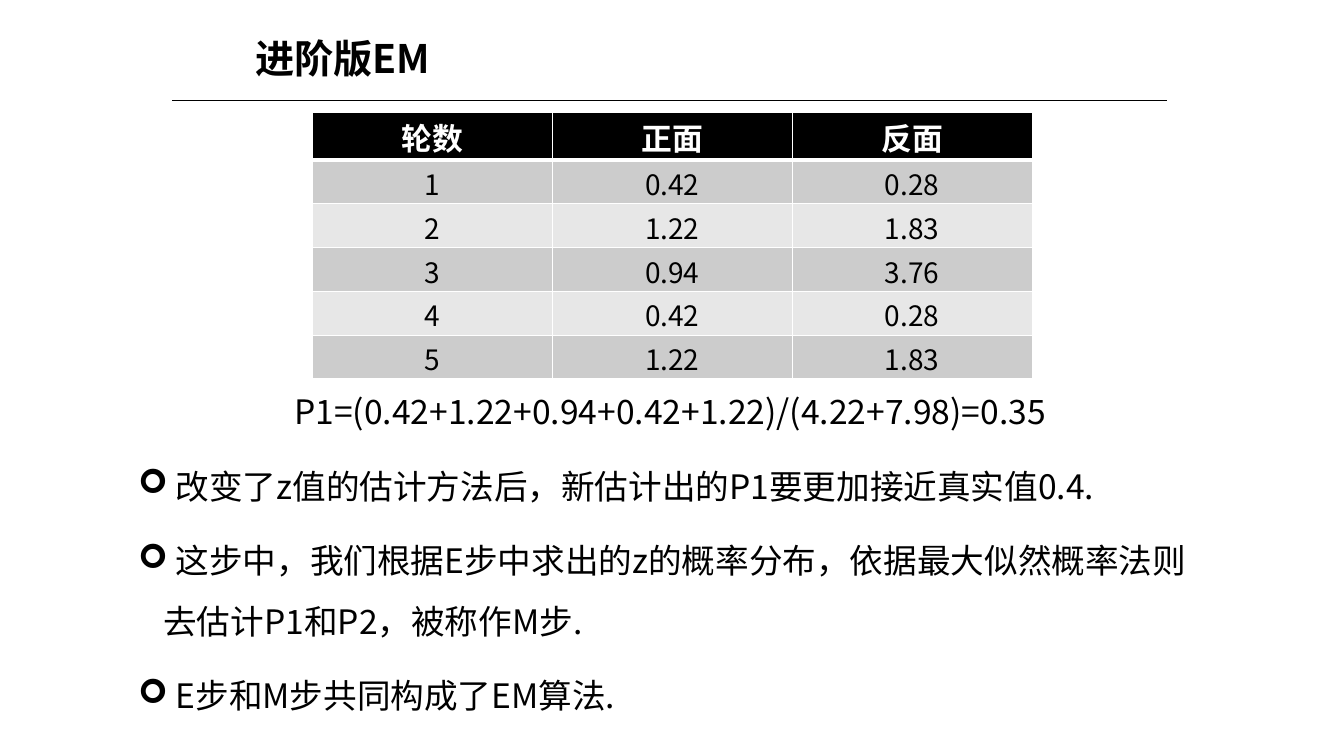
import pptx
import pptx.util
import pptx.dml.color
import pptx.enum.text
import pptx.enum.shapes
import pptx.oxml
import pptx.oxml.ns
import lxml.etree

ALIGN = pptx.enum.text.PP_ALIGN
ANCHOR = pptx.enum.text.MSO_ANCHOR
qn = pptx.oxml.ns.qn


def color(hex_code):
    return pptx.dml.color.RGBColor.from_string(hex_code)


class Deck:
    """Style and current slide; lengths are percentages of the slide's size."""

    FONT = "Noto Sans CJK SC"
    INK, PAPER = "000000", "FFFFFF"
    BANDS = ("CCCCCC", "E7E7E7")

    def __init__(self, prs):
        self.prs = prs
        self.slide = prs.slides.add_slide(prs.slide_layouts[1])

    def x(self, share):
        return round(self.prs.slide_width * share / 100)

    def y(self, share):
        return round(self.prs.slide_height * share / 100)

    def box(self, left, top, width, height):
        return self.x(left), self.y(top), self.x(width), self.y(height)

    def run(self, p, text, size, ink=INK, bold=False):
        r = p.add_run()
        r.text = text
        r.font.size = pptx.util.Pt(size)
        r.font.bold = bold
        r.font.color.rgb = color(ink)
        r.font.name = self.FONT
        ea = lxml.etree.SubElement(r.font._element, qn("a:ea"))
        ea.set("typeface", self.FONT)

    def place(self, sp, box, anchor):
        sp.left, sp.top, sp.width, sp.height = self.box(*box)
        tf = sp.text_frame
        tf.word_wrap = True
        tf.auto_size = pptx.enum.text.MSO_AUTO_SIZE.NONE
        tf.vertical_anchor = anchor
        return tf

    def title(self, text, box):
        tf = self.place(self.slide.shapes.title, box, ANCHOR.MIDDLE)
        p = tf.paragraphs[0]
        p.alignment = ALIGN.LEFT
        self.run(p, text, 28, bold=True)

    def rule(self, left, right, top):
        line = self.slide.shapes.add_connector(
            pptx.enum.shapes.MSO_CONNECTOR.STRAIGHT,
            self.x(left), self.y(top), self.x(right), self.y(top))
        line.line.color.rgb = color(self.INK)
        line.line.width = pptx.util.Pt(0.5)
        lxml.etree.SubElement(line._element.spPr, qn("a:effectLst"))

    def borders(self, cell, widths):
        tc_pr = cell._tc.get_or_add_tcPr()
        for i, (side, width) in enumerate(zip("LRTB", widths)):
            ln = pptx.oxml.parse_xml(
                f'<a:ln{side} {pptx.oxml.ns.nsdecls("a")} w="{pptx.util.Pt(width)}">'
                f'<a:solidFill><a:srgbClr val="{self.PAPER}"/></a:solidFill></a:ln{side}>')
            tc_pr.insert(i, ln)

    def cell(self, cell, text, row):
        head = row == 0
        cell.fill.solid()
        cell.fill.fore_color.rgb = color(self.INK if head else self.BANDS[(row - 1) % 2])
        cell.vertical_anchor = ANCHOR.MIDDLE
        cell.margin_top, cell.margin_bottom = pptx.util.Inches(0.03), 0
        p = cell.text_frame.paragraphs[0]
        p.alignment = ALIGN.CENTER
        self.run(p, text, 22 if head else 20, self.PAPER if head else self.INK, head)
        self.borders(cell, (1, 1, 3 if row == 1 else 1, 3 if head else 1))

    def table(self, rows, box, head_height):
        left, top, width, height = box
        table = self.slide.shapes.add_table(len(rows), len(rows[0]), *self.box(*box)).table
        for col in table.columns:
            col.width = self.x(width / len(rows[0]))
        row_height = (height - head_height) / (len(rows) - 1)
        for i, values in enumerate(rows):
            table.rows[i].height = self.y(row_height if i else head_height)
            for j, text in enumerate(values):
                self.cell(table.cell(i, j), text, i)

    def paragraph(self, p, text, spacing, bullet=None):
        p.alignment = ALIGN.LEFT if bullet else ALIGN.CENTER
        p.line_spacing = spacing
        p.space_before = pptx.util.Pt(10)
        p_pr = p._p.get_or_add_pPr()
        indent = pptx.util.Inches(0.25)
        p_pr.set("marL", str(indent))
        p_pr.set("indent", str(-indent))
        if bullet:
            lxml.etree.SubElement(p_pr, qn("a:buFont")).set("typeface", "Wingdings")
            lxml.etree.SubElement(p_pr, qn("a:buChar")).set("char", bullet)
        else:
            lxml.etree.SubElement(p_pr, qn("a:buNone"))
        self.run(p, text, 24)

    def body(self, formula, points, box):
        tf = self.place(self.slide.placeholders[1], box, ANCHOR.TOP)
        self.paragraph(tf.paragraphs[0], formula, 0.9)
        for point in points:
            self.paragraph(tf.add_paragraph(), " " + point, 1.5, "➢")


def main():
    prs = pptx.Presentation()
    prs.slide_width = pptx.util.Inches(13.33)
    prs.slide_height = pptx.util.Inches(7.5)
    deck = Deck(prs)

    # Heading and rule
    deck.title("进阶版EM", (18.23, 3.87, 60.3, 7.6))
    deck.rule(12.83, 86.8, 13.33)

    # Expected heads and tails per round
    rounds = [
        ("轮数", "正面", "反面"),
        ("1", "0.42", "0.28"),
        ("2", "1.22", "1.83"),
        ("3", "0.94", "3.76"),
        ("4", "0.42", "0.28"),
        ("5", "1.22", "1.83"),
    ]
    deck.table(rounds, (23.25, 14.85, 53.55, 35.1), head_height=6.1)

    # Estimate and conclusions
    deck.body(
        "P1=(0.42+1.22+0.94+0.42+1.22)/(4.22+7.98)=0.35",
        [
            "改变了z值的估计方法后，新估计出的P1要更加接近真实值0.4.",
            "这步中，我们根据E步中求出的z的概率分布，依据最大似然概率法则去估计P1和P2，被称作M步.",
            "E步和M步共同构成了EM算法.",
        ],
        (9.53, 51.6, 80.65, 43.07))

    prs.save("out.pptx")


if __name__ == "__main__":
    main()
